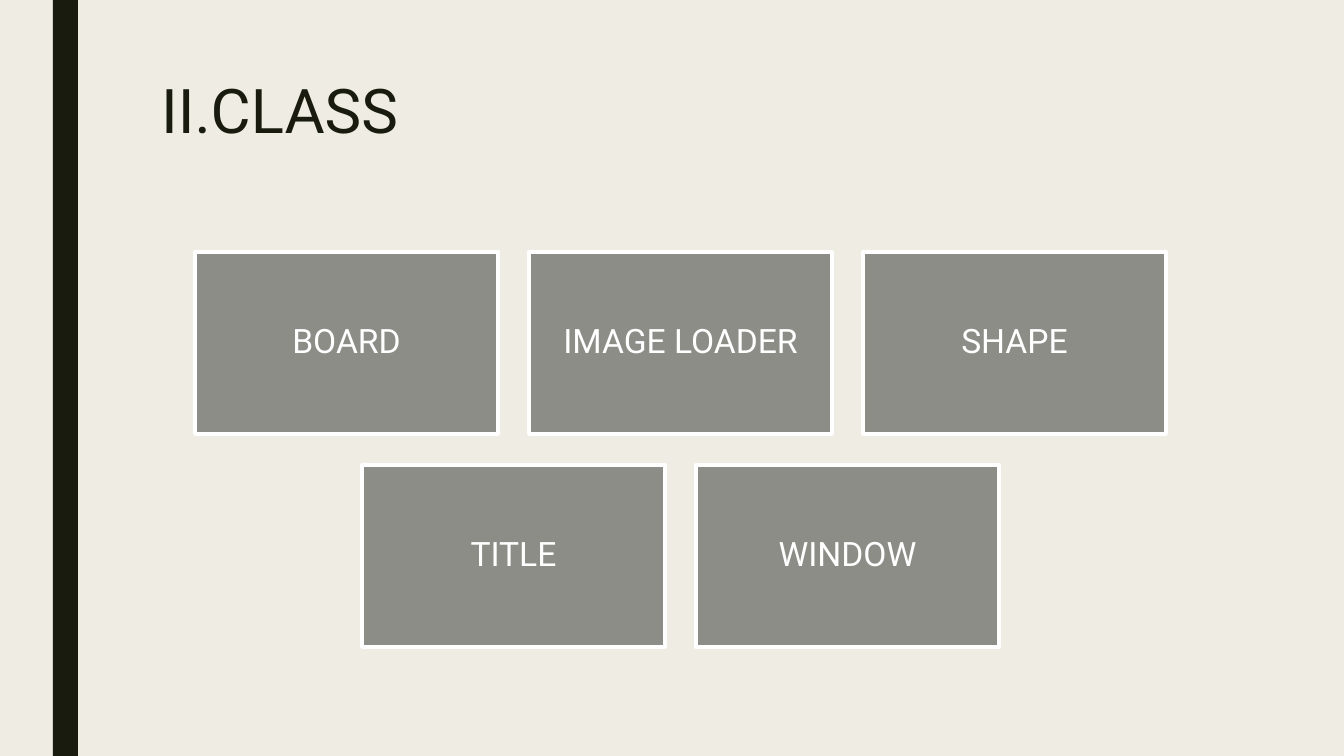
from pptx import Presentation
from pptx import util as u
from pptx.dml import color
from pptx.enum import shapes, text

PIXEL = 914400 / 100.8
COLORS = {"paper": "EFEDE3", "ink": "191B0E", "card": "8C8D86", "white": "FFFFFF"}
CLASS_ROWS = [["BOARD", "IMAGE LOADER", "SHAPE"], ["TITLE", "WINDOW"]]
CARD_WIDTH, CARD_HEIGHT, GAP = 303, 182, 31
GRID_LEFT, GRID_TOP = 195, 252


def pixels(*lengths):
    return [u.Emu(round(length * PIXEL)) for length in lengths]


def write(para, wording, size, shade):
    span = para.add_run()
    span.text = wording
    span.font.name = "Roboto"
    span.font.size = u.Pt(size)
    span.font.color.rgb = color.RGBColor.from_string(COLORS[shade])


deck = Presentation()
deck.slide_width, deck.slide_height = pixels(1344, 756)
page = deck.slides.add_slide(deck.slide_layouts[5])
page.background.fill.solid()
page.background.fill.fore_color.rgb = color.RGBColor.from_string(COLORS["paper"])

bar = page.shapes.add_shape(shapes.MSO_SHAPE.RECTANGLE, *pixels(53, 0, 25, 756))
bar.shadow.inherit = False
bar.fill.solid()
bar.fill.fore_color.rgb = color.RGBColor.from_string(COLORS["ink"])
bar.line.fill.background()

title = page.shapes.title
title.left, title.top, title.width, title.height = pixels(151, 76, 1058, 163)
title.text_frame.word_wrap = True
title.text_frame.auto_size = text.MSO_AUTO_SIZE.NONE
title.text_frame.vertical_anchor = text.MSO_ANCHOR.TOP
heading = title.text_frame.paragraphs[0]
heading.alignment = text.PP_ALIGN.LEFT
heading.line_spacing = 0.89
write(heading, "II.CLASS", 44, "ink")

widest = max(len(names) for names in CLASS_ROWS)
for row, names in enumerate(CLASS_ROWS):
    indent = (widest - len(names)) * (CARD_WIDTH + GAP) // 2
    for column, name in enumerate(names):
        left = GRID_LEFT + indent + column * (CARD_WIDTH + GAP)
        top = GRID_TOP + row * (CARD_HEIGHT + GAP)
        card = page.shapes.add_shape(
            shapes.MSO_SHAPE.RECTANGLE, *pixels(left, top, CARD_WIDTH, CARD_HEIGHT))
        card.shadow.inherit = False
        card.fill.solid()
        card.fill.fore_color.rgb = color.RGBColor.from_string(COLORS["card"])
        card.line.color.rgb = color.RGBColor.from_string(COLORS["white"])
        card.line.width = u.Pt(2.75)
        frame = card.text_frame
        frame.word_wrap = True
        frame.vertical_anchor = text.MSO_ANCHOR.MIDDLE
        frame.margin_left, frame.margin_right, frame.margin_top, frame.margin_bottom = pixels(10, 10, 10, 10)
        para = frame.paragraphs[0]
        para.alignment = text.PP_ALIGN.CENTER
        para.line_spacing = 0.9
        write(para, name, 24, "white")

deck.save("out.pptx")
